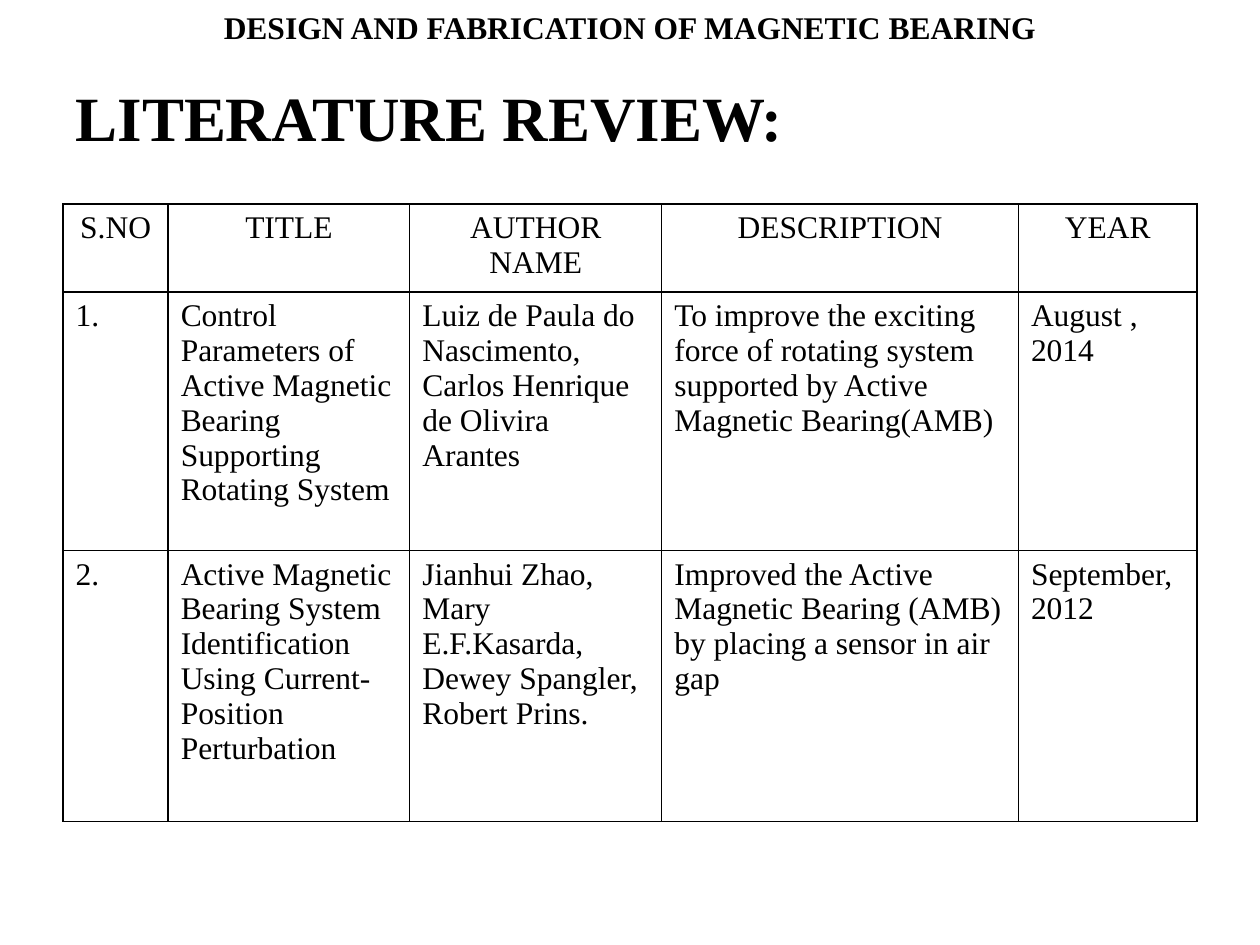
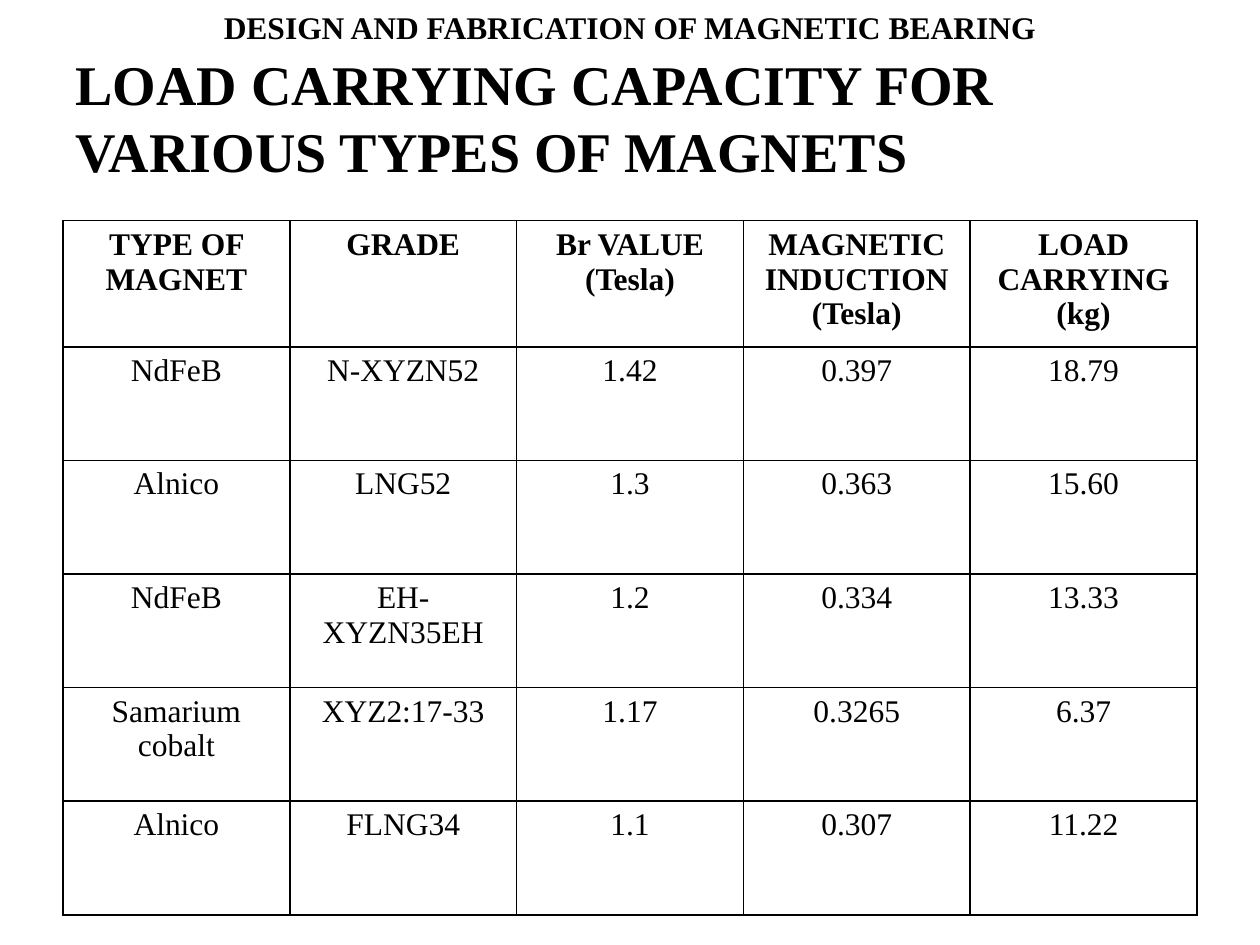
from lxml.etree import SubElement
from pptx import Presentation
from pptx.dml.color import RGBColor
from pptx.enum.text import MSO_ANCHOR, MSO_AUTO_SIZE, PP_ALIGN
from pptx.oxml.ns import qn
from pptx.util import Cm, Pt

FONT = "Times New Roman"
BLACK = "000000"
WHITE = "FFFFFF"
PROJECT_NAME = "DESIGN AND FABRICATION OF MAGNETIC BEARING"
SLIDE_WIDTH, SLIDE_HEIGHT = 25.4, 19.05
MARGIN = 1.27
CONTENT_WIDTH = SLIDE_WIDTH - 2 * MARGIN
TITLE_ONLY = 5

LITERATURE = [
    ["S.NO", "TITLE", "AUTHOR NAME", "DESCRIPTION", "YEAR"],
    ["1.",
     "Control Parameters of Active Magnetic Bearing Supporting Rotating System",
     "Luiz de Paula do Nascimento,\nCarlos Henrique de Olivira Arantes",
     "To improve the exciting force of rotating system supported by "
     "Active Magnetic Bearing(AMB)",
     "August , 2014"],
    ["2.",
     "Active Magnetic Bearing System Identification Using "
     "Current-Position Perturbation",
     "Jianhui Zhao,\nMary E.F.Kasarda,\nDewey Spangler,\nRobert Prins.",
     "Improved the Active Magnetic Bearing (AMB) by placing a sensor in air gap",
     "September,2012"],
]

MAGNETS = [
    ["TYPE OF MAGNET", "GRADE", "Br VALUE\n(Tesla)",
     "MAGNETIC INDUCTION\n(Tesla)", "LOAD CARRYING\n(kg)"],
    ["NdFeB", "N-XYZN52", "1.42", "0.397", "18.79"],
    ["Alnico", "LNG52", "1.3", "0.363", "15.60"],
    ["NdFeB", "EH-XYZN35EH", "1.2", "0.334", "13.33"],
    ["Samarium cobalt", "XYZ2:17-33", "1.17", "0.3265", "6.37"],
    ["Alnico", "FLNG34", "1.1", "0.307", "11.22"],
]


def color(value):
    return RGBColor.from_string(value)


def write_text(text_frame, text, size, bold=False, align=PP_ALIGN.LEFT):
    """Write each line of the text as a paragraph of its own."""
    for index, line in enumerate(text.split("\n")):
        paragraph = text_frame.add_paragraph() if index else text_frame.paragraphs[0]
        paragraph.alignment = align
        run = paragraph.add_run()
        run.text = line
        run.font.name = FONT
        run.font.size = Pt(size)
        run.font.bold = bold
        run.font.color.rgb = color(BLACK)


def add_titled_slide(presentation, title_text, title_size):
    """Add a slide with its title and the project name above it."""
    slide = presentation.slides.add_slide(presentation.slide_layouts[TITLE_ONLY])
    title = slide.shapes.title
    title.left, title.top = Cm(MARGIN), Cm(0.76)
    title.width, title.height = Cm(CONTENT_WIDTH), Cm(3.18)
    title.text_frame.word_wrap = True
    title.text_frame.auto_size = MSO_AUTO_SIZE.NONE
    title.text_frame.vertical_anchor = MSO_ANCHOR.MIDDLE
    write_text(title.text_frame, title_text, title_size, bold=True)

    header = slide.shapes.add_textbox(0, Cm(0.03), Cm(SLIDE_WIDTH), Cm(1.02))
    header.text_frame.word_wrap = True
    header.text_frame.auto_size = MSO_AUTO_SIZE.SHAPE_TO_FIT_TEXT
    write_text(header.text_frame, PROJECT_NAME, 18, bold=True, align=PP_ALIGN.CENTER)
    return slide


def set_borders(cell, line_color=BLACK, width=1):
    properties = cell._tc.get_or_add_tcPr()
    for index, side in enumerate(("a:lnL", "a:lnR", "a:lnT", "a:lnB")):
        line = SubElement(properties, qn(side), w=str(Pt(width)))
        fill = SubElement(line, qn("a:solidFill"))
        SubElement(fill, qn("a:srgbClr"), val=line_color)
        properties.insert(index, line)


def add_grid(slide, rows, top, column_widths, row_heights, bold_header, body_align):
    """Add a bordered table whose first row is a centred header."""
    frame = slide.shapes.add_table(
        len(rows), len(column_widths), Cm(MARGIN), Cm(top),
        Cm(sum(column_widths)), Cm(sum(row_heights)))
    table = frame.table
    table.first_row = table.horz_banding = False
    for column, width in zip(table.columns, column_widths):
        column.width = Cm(width)
    for row, height in zip(table.rows, row_heights):
        row.height = Cm(height)
    for row_index, texts in enumerate(rows):
        is_header = row_index == 0
        align = PP_ALIGN.CENTER if is_header else body_align
        for column_index, text in enumerate(texts):
            cell = table.cell(row_index, column_index)
            cell.fill.solid()
            cell.fill.fore_color.rgb = color(WHITE)
            set_borders(cell)
            write_text(cell.text_frame, text, 18, is_header and bold_header, align)


def main():
    presentation = Presentation()
    presentation.slide_width = Cm(SLIDE_WIDTH)
    presentation.slide_height = Cm(SLIDE_HEIGHT)

    review = add_titled_slide(presentation, "LITERATURE REVIEW:", 36)
    add_grid(review, LITERATURE, 4.11, [2.12, 4.87, 5.08, 7.19, 3.6],
             [1.67, 5.21, 5.46], bold_header=False, body_align=PP_ALIGN.LEFT)

    capacity = add_titled_slide(
        presentation, "LOAD CARRYING CAPACITY FOR VARIOUS TYPES OF MAGNETS", 32)
    column_count = len(MAGNETS[0])
    add_grid(capacity, MAGNETS, 4.45, [CONTENT_WIDTH / column_count] * column_count,
             [2.38] + [2.29] * (len(MAGNETS) - 1),
             bold_header=True, body_align=PP_ALIGN.CENTER)

    presentation.save("out.pptx")


if __name__ == "__main__":
    main()
